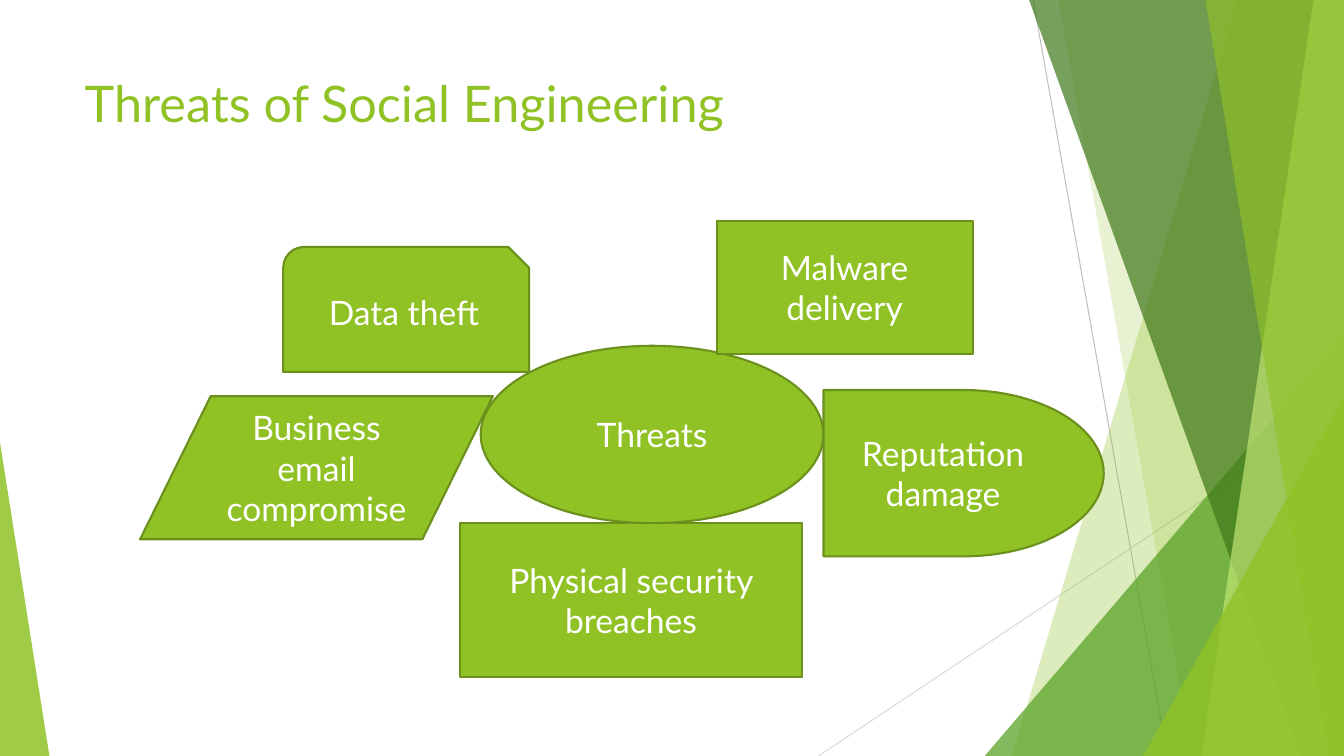
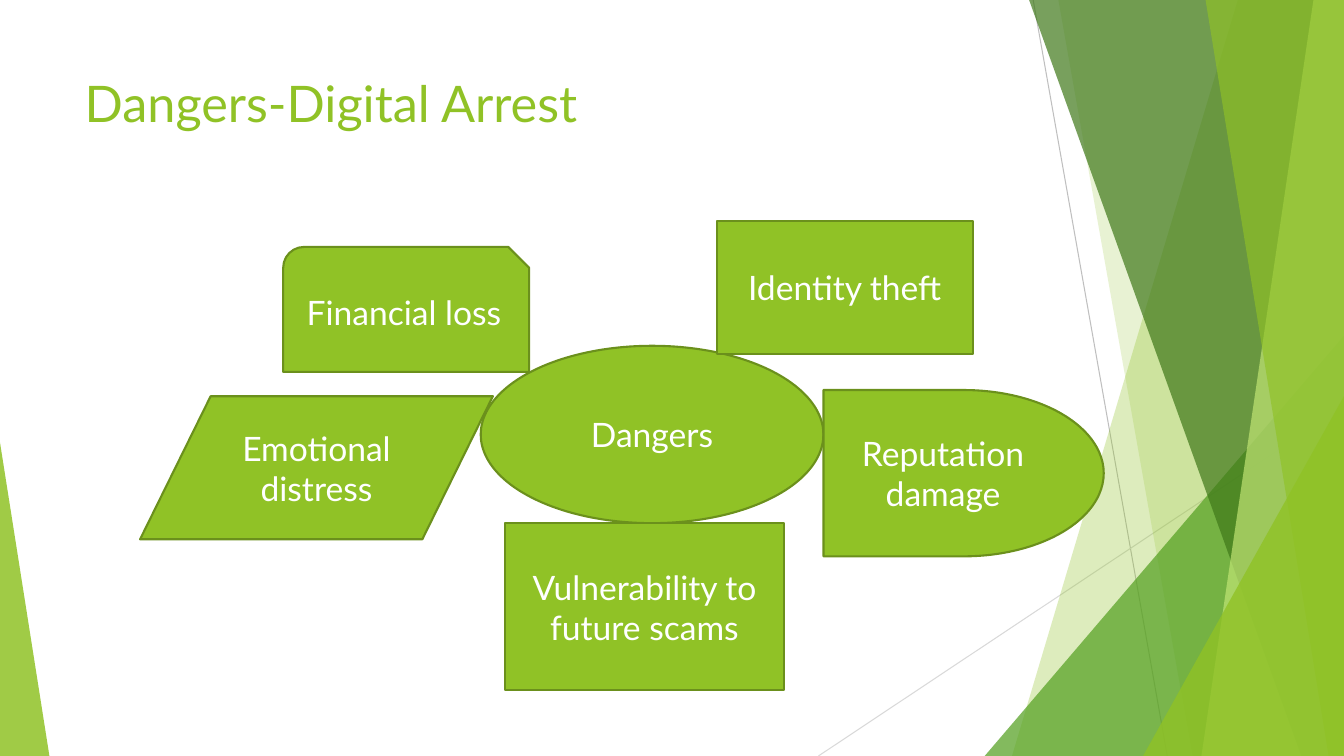
import pptx
import pptx.dml.color
import pptx.enum.shapes
import pptx.enum.text
import pptx.oxml.ns
import pptx.util
from lxml import etree

Pt = pptx.util.Pt
qn = pptx.oxml.ns.qn
Shape = pptx.enum.shapes.MSO_SHAPE
Align = pptx.enum.text.PP_ALIGN
Anchor = pptx.enum.text.MSO_ANCHOR

WIDTH, HEIGHT = 960, 540
FONT = "Lato"
GREEN, OUTLINE, WHITE = "90C226", "6B901C", "FFFFFF"

# Kind and place of each box around the hub, which comes first
HUB = (Shape.OVAL, (343.4, 247, 244.8, 126.7))
LEFT = (Shape.FLOWCHART_DATA, (100.1, 283, 252, 102.2))
UPPER_LEFT = (Shape.SNIP_ROUND_RECTANGLE, (202.3, 176.4, 175.7, 89.3))
UPPER_RIGHT = (Shape.RECTANGLE, (511.9, 157.7, 182.9, 95))
RIGHT = (Shape.FLOWCHART_DELAY, (588.2, 278.6, 200.2, 118.8))
WIDE_BOTTOM = (Shape.RECTANGLE, (328.3, 373.7, 244.8, 110.2))
TALL_BOTTOM = (Shape.RECTANGLE, (360.7, 373.7, 199.4, 119.5))


def colour(hex_string):
    return pptx.dml.color.RGBColor.from_string(hex_string)


def write(frame, text, size=24, color=WHITE, align=Align.CENTER, anchor=Anchor.MIDDLE):
    frame.word_wrap = True
    frame.auto_size = pptx.enum.text.MSO_AUTO_SIZE.NONE
    frame.vertical_anchor = anchor
    para = frame.paragraphs[0]
    para.alignment = align
    span = para.add_run()
    span.text = text
    span.font.name = FONT
    span.font.size = Pt(size)
    span.font.color.rgb = colour(color)


def place(shape, left, top, width, height):
    shape.left, shape.top = Pt(left), Pt(top)
    shape.width, shape.height = Pt(width), Pt(height)


class Pages:
    """Holds the deck and the page being drawn."""

    def __init__(self):
        self.deck = pptx.Presentation()
        self.deck.slide_width = Pt(WIDTH)
        self.deck.slide_height = Pt(HEIGHT)
        self.page = None

    def add_page(self, title):
        self.page = self.deck.slides.add_slide(self.deck.slide_layouts[5])
        heading = self.page.shapes.title
        place(heading, 53.3, 48.2, 676.8, 103.7)
        write(heading.text_frame, title, size=36, color=GREEN,
              align=Align.LEFT, anchor=Anchor.TOP)
        self.backdrop()

    def line(self, start, end, color):
        connector = self.page.shapes.add_connector(
            pptx.enum.shapes.MSO_CONNECTOR.STRAIGHT,
            Pt(start[0]), Pt(start[1]), Pt(end[0]), Pt(end[1]))
        connector.line.color.rgb = colour(color)
        connector.line.width = Pt(0.75)
        etree.SubElement(connector._element.spPr, qn("a:effectLst"))

    def tint(self, shape, color, opacity):
        """Fill without outline; opacity is in percent."""
        shape.shadow.inherit = False
        shape.fill.solid()
        shape.fill.fore_color.rgb = colour(color)
        shape.line.fill.background()
        fill_color = shape._element.spPr.find(".//" + qn("a:srgbClr"))
        etree.SubElement(fill_color, qn("a:alpha")).set("val", str(opacity * 1000))

    def band(self, top_left, bottom_left, color, opacity):
        """Full-height band from a slanted left side to the right edge."""
        outline = self.page.shapes.build_freeform(Pt(top_left), 0)
        outline.add_line_segments([(Pt(WIDTH), 0), (Pt(WIDTH), Pt(HEIGHT)),
                                   (Pt(bottom_left), Pt(HEIGHT))])
        self.tint(outline.convert_to_shape(), color, opacity)

    def wedge(self, left, top, width, apex, color, opacity):
        """Triangle standing on the bottom edge; apex 0 is left, 1 is right."""
        triangle = self.page.shapes.add_shape(
            Shape.ISOSCELES_TRIANGLE, Pt(left), Pt(top), Pt(width), Pt(HEIGHT - top))
        triangle.adjustments[0] = apex
        self.tint(triangle, color, opacity)

    def backdrop(self):
        self.line((738, 0), (833.8, HEIGHT), "BFBFBF")
        self.line((WIDTH, 290.2), (584.6, HEIGHT), "D9D9D9")
        self.band(884.2, 722.9, GREEN, 30)
        self.band(756, 851.8, GREEN, 20)
        self.wedge(703.4, 239.8, 256.6, 1, "54A021", 72)
        self.band(735.1, 929.5, "3F7819", 70)
        self.band(938.2, 858.2, "C0E474", 70)
        self.band(861.1, 949, GREEN, 65)
        self.wedge(816.5, 283, 143.5, 1, GREEN, 80)
        self.wedge(0, 316.1, 35.3, 0, GREEN, 85)

    def box(self, kind, bounds, text):
        box = self.page.shapes.add_shape(kind, *map(Pt, bounds))
        box.shadow.inherit = False
        box.fill.solid()
        box.fill.fore_color.rgb = colour(GREEN)
        box.line.color.rgb = colour(OUTLINE)
        box.line.width = Pt(1.5)
        write(box.text_frame, text)


def main():
    pages = Pages()
    topics = {
        "Threats of Social Engineering": [
            (HUB, "Threats"),
            (LEFT, "Business email compromise"),
            (WIDE_BOTTOM, "Physical security breaches"),
            (UPPER_LEFT, "Data theft"),
            (UPPER_RIGHT, "Malware delivery"),
            (RIGHT, "Reputation damage"),
        ],
        "Dangers-Digital Arrest": [
            (HUB, "Dangers"),
            (LEFT, "Emotional distress"),
            (TALL_BOTTOM, "Vulnerability to future scams"),
            (UPPER_LEFT, "Financial loss"),
            (UPPER_RIGHT, "Identity theft"),
            (RIGHT, "Reputation damage"),
        ],
    }
    for title, boxes in topics.items():
        pages.add_page(title)
        for (kind, bounds), text in boxes:
            pages.box(kind, bounds, text)
    pages.deck.save("out.pptx")


if __name__ == "__main__":
    main()
